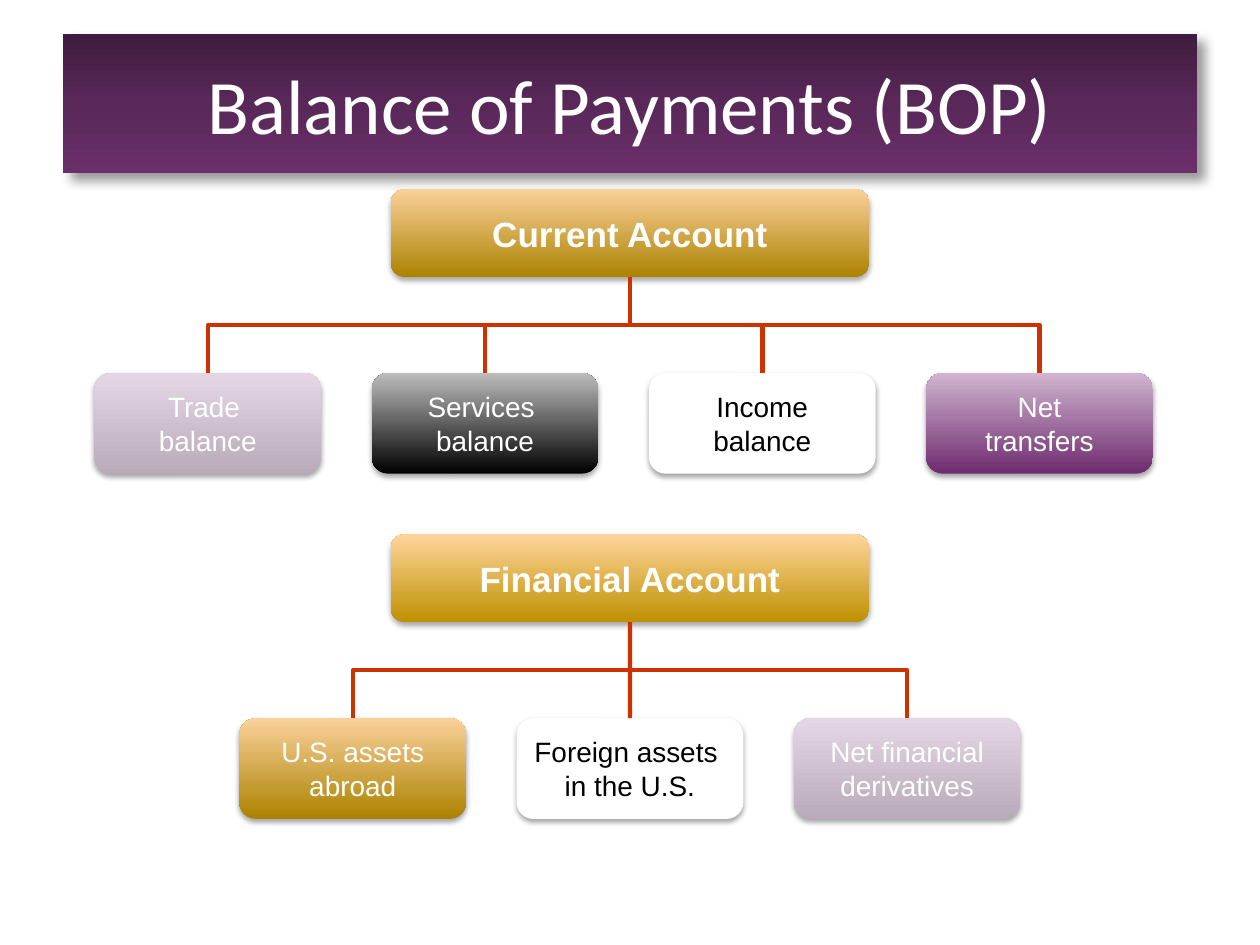
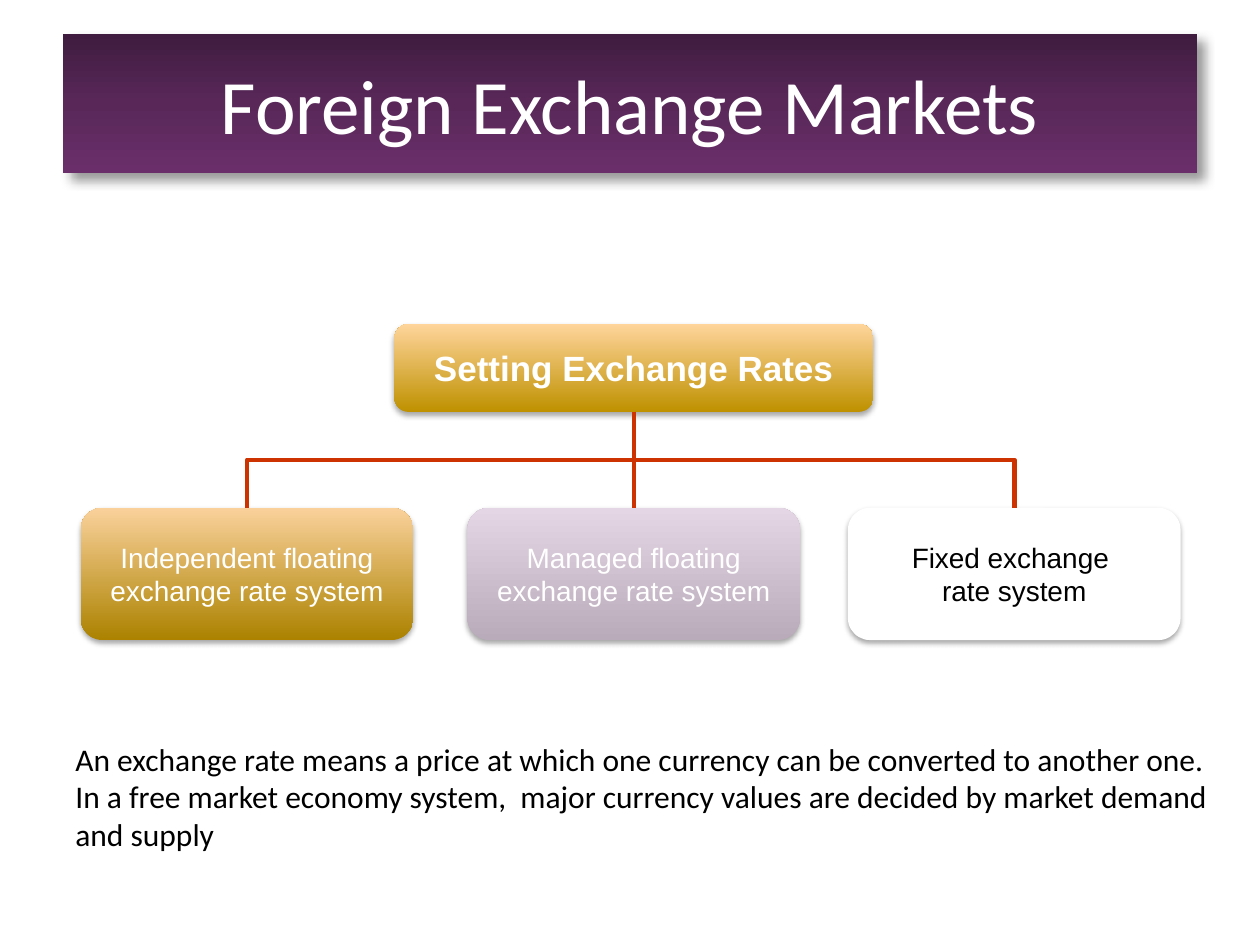
from lxml.etree import SubElement
from pptx import Presentation
from pptx.dml.color import RGBColor
from pptx.enum.shapes import MSO_CONNECTOR as CONN, MSO_SHAPE as SHAPE
from pptx.enum.text import MSO_ANCHOR as ANCHOR, PP_ALIGN as ALIGN
from pptx.oxml.ns import qn
from pptx.util import Inches, Pt

# Shared colours: gradients run through (position %, colour) stops
WHITE, BLACK, RED = "FFFFFF", "000000", "CC3300"
BAND = [(0, "3F1C3F"), (50, "592859"), (100, "6A2F6A")]
OCHRE = [(0, "AC8200"), (100, "FAD19B")]
GOLD = [(0, "BF9100"), (100, "FFD59C")]
LILAC = [(0, "BAABBA"), (100, "E4D6E4")]
CHARCOAL = [(0, "000000"), (100, "BDBDBD")]
PLUM = [(0, "6E2B6E"), (100, "D0B5D0")]

HEAD_W, HEAD_H = 3.8, 0.7
DROP = 0.76  # from the head box down to its branches


def rgb(value):
    return RGBColor.from_string(value)


def paint(shape, fill, angle=90):
    """Fill with a plain colour or a list of gradient stops."""
    if isinstance(fill, str):
        shape.fill.solid()
        shape.fill.fore_color.rgb = rgb(fill)
        return
    shape.fill.gradient()
    shape.fill.gradient_angle = angle
    stops = shape.element.spPr.find(qn("a:gradFill")).find(qn("a:gsLst"))
    for gs in list(stops):
        stops.remove(gs)
    for pos, color in fill:
        gs = SubElement(stops, qn("a:gs"), pos=str(pos * 1000))
        SubElement(gs, qn("a:srgbClr"), val=color)


def cast_shadow(shape, alpha, blur, dist, angle):
    shape.shadow.inherit = False
    effects = shape.element.spPr.find(qn("a:effectLst"))
    shadow = SubElement(effects, qn("a:outerShdw"), blurRad=str(Pt(blur)),
                        dist=str(Pt(dist)), dir=str(angle * 60000),
                        algn="tl", rotWithShape="0")
    color = SubElement(shadow, qn("a:srgbClr"), val=BLACK)
    SubElement(color, qn("a:alpha"), val=str(alpha * 1000))


def write(tf, text, size=16, font="Arial", color=WHITE, bold=False,
          align=ALIGN.CENTER, anchor=ANCHOR.MIDDLE, wrap=True):
    tf.word_wrap = wrap
    tf.vertical_anchor = anchor
    p = tf.paragraphs[0]
    p.alignment = align
    p.space_before = Pt(0)
    for i, line in enumerate(text.split("\n")):
        if i:
            p.add_line_break()
        r = p.add_run()
        r.text = line
        r.font.size, r.font.name, r.font.bold = Pt(size), font, bold
        r.font.color.rgb = rgb(color)
    for br in p._p.findall(qn("a:br")):
        SubElement(br, qn("a:rPr"), sz=str(size * 100))


def add_title(s, text):
    title = s.shapes.title
    title.left, title.top = Inches(0.5), Inches(0.27)
    title.width, title.height = Inches(9), Inches(1.1)
    paint(title, BAND, angle=270)
    cast_shadow(title, 40, 6, 6, 45)
    write(title.text_frame, text, size=44, font="Calibri")


def add_box(s, text, x, y, w, h, fill, inset=0.05, **fmt):
    box = s.shapes.add_shape(SHAPE.ROUNDED_RECTANGLE,
                             Inches(x), Inches(y), Inches(w), Inches(h))
    paint(box, fill)
    box.line.fill.background()
    cast_shadow(box, 35, 3.1, 1.8, 90)
    tf = box.text_frame
    tf.margin_left = tf.margin_right = 0
    tf.margin_top = tf.margin_bottom = Inches(inset)
    write(tf, text, color=BLACK if fill == WHITE else WHITE, **fmt)
    return box


def add_branch(s, head, child):
    """Join the head's bottom to the child's top, turning halfway down."""
    x1, y1 = head.left + head.width // 2, head.top + head.height
    x2, y2 = child.left + child.width // 2, child.top
    dx, dy = abs(x2 - x1), y2 - y1
    if dx < Inches(0.01):
        line = s.shapes.add_connector(CONN.STRAIGHT, x1, y1, x2, y2)
        line.begin_connect(head, 2)
        line.end_connect(child, 0)
    else:
        # The elbow is laid out sideways, then turned about its centre
        left, top = (x1 + x2 - dy) // 2, (y1 + y2 - dx) // 2
        ends, turn = (left, left + dy), 90
        if x2 > x1:
            ends, turn = ends[::-1], 270
        line = s.shapes.add_connector(CONN.ELBOW, ends[0], top,
                                      ends[1], top + dx)
        line.element.spPr.find(qn("a:xfrm")).set("rot", str(turn * 60000))
    line.line.color.rgb = rgb(RED)
    line.line.width = Pt(2.5)
    SubElement(line.element.spPr, qn("a:effectLst"))


def add_tree(s, x, y, head_text, head_fill, lefts, child_w, child_h, children):
    """Head box at x, y with a row of (text, fill) children below it."""
    head = add_box(s, head_text, x, y, HEAD_W, HEAD_H, head_fill,
                   inset=0, size=20, bold=True, wrap=False)
    for left, (text, fill) in zip(lefts, children):
        child = add_box(s, text, left, y + HEAD_H + DROP,
                        child_w, child_h, fill)
        add_branch(s, head, child)


def add_note(s, text, x, y, w, h):
    box = s.shapes.add_textbox(Inches(x), Inches(y), Inches(w), Inches(h))
    write(box.text_frame, text, size=18, font="Calibri", color=BLACK,
          align=ALIGN.LEFT, anchor=ANCHOR.TOP)


def new_slide(prs, title):
    s = prs.slides.add_slide(prs.slide_layouts[5])
    add_title(s, title)
    return s


def payments_slide(prs):
    s = new_slide(prs, "Balance of Payments (BOP)")
    pitch = 2.2
    add_tree(s, 3.1, 1.5, "Current Account", OCHRE,
             [0.75 + pitch * i for i in range(4)], 1.8, 0.8,
             [("Trade \nbalance", LILAC), ("Services \nbalance", CHARCOAL),
              ("Income\nbalance", WHITE), ("Net\ntransfers", PLUM)])
    add_tree(s, 3.1, 4.24, "Financial Account", GOLD,
             [1.9 + pitch * i for i in range(3)], 1.8, 0.8,
             [("U.S. assets abroad", OCHRE),
              ("Foreign assets \nin the U.S.", WHITE),
              ("Net financial derivatives", LILAC)])


def exchange_slide(prs):
    s = new_slide(prs, "Foreign Exchange Markets")
    add_tree(s, 3.13, 2.57, "Setting Exchange Rates", GOLD,
             [0.64, 3.71, 6.73], 2.64, 1.05,
             [("Independent floating exchange rate system", OCHRE),
              ("Managed floating exchange rate system", LILAC),
              ("Fixed exchange \nrate system", WHITE)])
    add_note(s, "An exchange rate means a price at which one currency can be "
             "converted to another one. In a free market economy system,  "
             "major currency values are decided by market demand and supply",
             0.5, 5.82, 9.38, 1.31)


def main():
    prs = Presentation()
    prs.slide_width, prs.slide_height = Inches(10), Inches(7.5)
    payments_slide(prs)
    exchange_slide(prs)
    prs.save("out.pptx")


if __name__ == "__main__":
    main()
